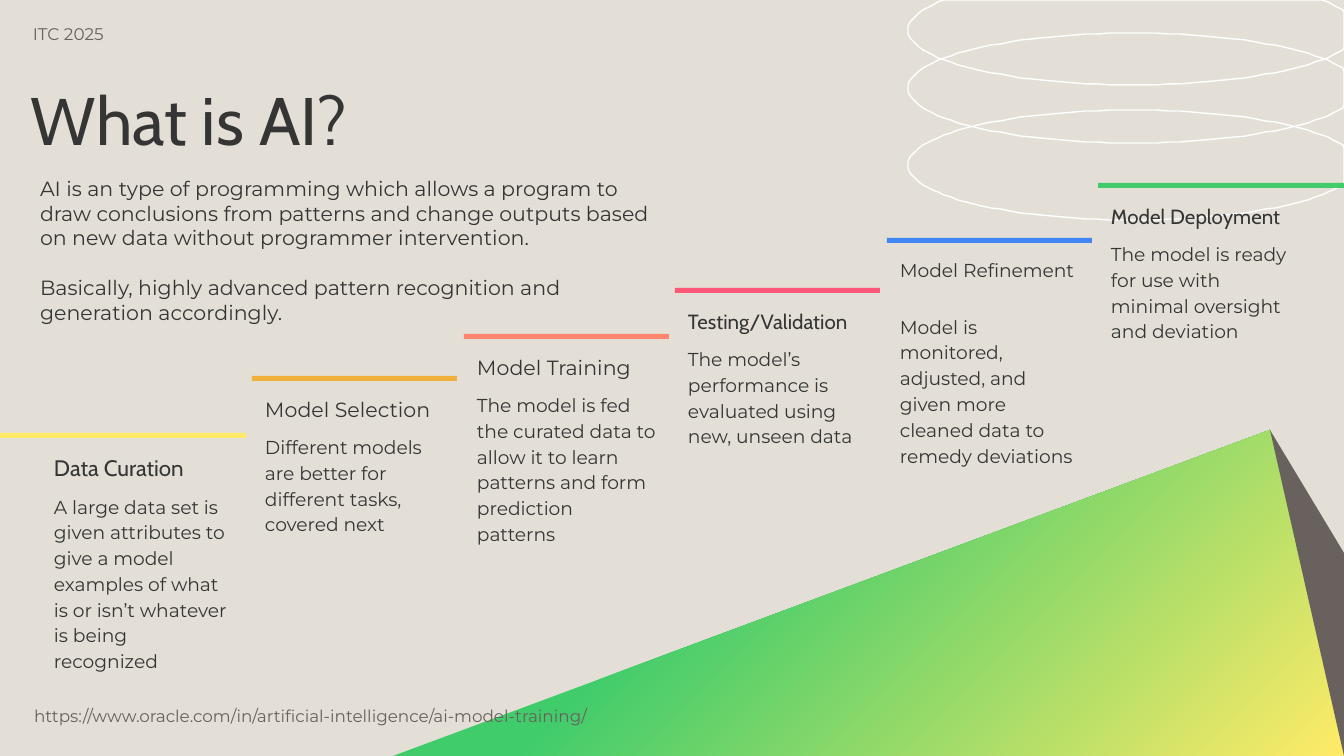
import math

from pptx import Presentation
from pptx.dml.color import RGBColor
from pptx.enum.text import MSO_ANCHOR
from pptx.util import Emu, Pt

SLIDE_W, SLIDE_H = 1344, 756
EMU_PER_PX = 9144000 / SLIDE_W
TOP, MIDDLE = MSO_ANCHOR.TOP, MSO_ANCHOR.MIDDLE
RECTANGLE = 1

BACKGROUND = RGBColor(0xE3, 0xDF, 0xD6)
INK = RGBColor(0x35, 0x35, 0x35)
TAUPE = RGBColor(0x69, 0x61, 0x5E)
WHITE = RGBColor(0xFF, 0xFF, 0xFF)
YELLOW = RGBColor(0xFF, 0xEB, 0x67)
AMBER = RGBColor(0xF0, 0xB0, 0x3B)
CORAL = RGBColor(0xFF, 0x86, 0x6D)
PINK = RGBColor(0xFF, 0x57, 0x77)
BLUE = RGBColor(0x42, 0x85, 0xF4)
GREEN = RGBColor(0x41, 0xCC, 0x6B)

CABIN, MONTSERRAT = "Cabin", "Montserrat"
INSET = 13
FIRST_STEP_LEFT, STEP_PITCH, STEP_WIDTH = 41, 211.4, 205
BAR_HEIGHT, STEP_TEXT_HEIGHT = 5, 175

STEPS = [
    ("Data Curation", CABIN, 12, 6, 433, YELLOW,
     "A large data set is given attributes to give a model examples of what "
     "is or isn’t whatever is being recognized"),
    ("Model Selection", MONTSERRAT, 11, 6, 376, AMBER,
     "Different models are better for different tasks, covered next"),
    ("Model Training", MONTSERRAT, 11, 6, 334, CORAL,
     "The model is fed the curated data to allow it to learn patterns and "
     "form prediction patterns"),
    ("Testing/Validation", CABIN, 11, 6, 288, PINK,
     "The model’s performance is evaluated using new, unseen data"),
    ("Model Refinement", MONTSERRAT, 10, 16.8, 238, BLUE,
     "Model is monitored, adjusted, and given more cleaned data to remedy "
     "deviations"),
    ("Model Deployment", CABIN, 11, 6, 183, GREEN,
     "The model is ready for use with minimal oversight and deviation"),
]


def px(length):
    """Turn a length in px into EMU."""
    return Emu(round(length * EMU_PER_PX))


def add_text_frame(slide, left, top, width, height, inset=INSET, inset_left=INSET, anchor=TOP):
    """Add a wrapping text box and return its text frame."""
    frame = slide.shapes.add_textbox(px(left), px(top), px(width), px(height)).text_frame
    frame.word_wrap = True
    frame.vertical_anchor = anchor
    frame.margin_left = px(inset_left)
    frame.margin_top = frame.margin_right = frame.margin_bottom = px(inset)
    return frame


def write(frame, text, size, font=MONTSERRAT, color=INK, spacing=1.0, before=0):
    """Write one formatted paragraph into a text frame."""
    first = frame.paragraphs[0]
    paragraph = frame.add_paragraph() if first.runs else first
    paragraph.line_spacing = spacing
    paragraph.space_before = Pt(before)
    run = paragraph.add_run()
    run.text = text
    run.font.size = Pt(size)
    run.font.name = font
    run.font.color.rgb = color


def add_outline(slide, points):
    """Add a closed freeform through the given px points."""
    builder = slide.shapes.build_freeform(*points[0], scale=EMU_PER_PX)
    builder.add_line_segments(points[1:], close=True)
    outline = builder.convert_to_shape()
    outline.shadow.inherit = False
    return outline


def add_ring(slide, center_y):
    """Add a white elliptical ring cut off at the slide edges."""
    center_x, radius_x, radius_y = 1133, 225, 55
    angles = [math.radians(degrees) for degrees in range(0, 360, 3)]
    points = [
        (min(SLIDE_W, center_x + radius_x * math.cos(angle)),
         max(0, center_y + radius_y * math.sin(angle)))
        for angle in angles
    ]
    ring = add_outline(slide, points)
    ring.fill.background()
    ring.line.color.rgb = WHITE
    ring.line.width = Pt(0.75)


def add_pyramid(slide):
    """Add the gradient face and the dark side of the pyramid."""
    apex, corner = (1270, 430), (SLIDE_W, SLIDE_H)
    face = add_outline(slide, [apex, corner, (393, SLIDE_H)])
    face.line.fill.background()
    face.fill.gradient()
    face.fill.gradient_angle = 315
    for stop, color, position in zip(face.fill.gradient_stops, (GREEN, YELLOW), (0.35, 1)):
        stop.color.rgb = color
        stop.position = position
    side = add_outline(slide, [apex, corner, (SLIDE_W, 553)])
    side.line.fill.background()
    side.fill.solid()
    side.fill.fore_color.rgb = TAUPE


def add_bar(slide, left, right, top, color):
    """Add the coloured bar above a step."""
    bar = slide.shapes.add_shape(RECTANGLE, px(left), px(top), px(right - left), px(BAR_HEIGHT))
    bar.shadow.inherit = False
    bar.fill.solid()
    bar.fill.fore_color.rgb = color
    bar.line.fill.background()


def add_steps(slide):
    """Add the rising row of model-building steps."""
    last = len(STEPS) - 1
    for index, (heading, font, size, gap, top, color, detail) in enumerate(STEPS):
        left = round(FIRST_STEP_LEFT + index * STEP_PITCH)
        right = left + STEP_WIDTH
        add_bar(slide, left if index else 0, SLIDE_W if index == last else right, top, color)
        frame = add_text_frame(slide, left, top + 4, STEP_WIDTH, STEP_TEXT_HEIGHT)
        write(frame, heading, size, font=font, spacing=1.15)
        write(frame, detail, 10, spacing=1.15, before=gap)


def main():
    """Build and save the slide."""
    deck = Presentation()
    deck.slide_width, deck.slide_height = px(SLIDE_W), px(SLIDE_H)
    slide = deck.slides.add_slide(deck.slide_layouts[6])
    slide.background.fill.solid()
    slide.background.fill.fore_color.rgb = BACKGROUND

    for center_y in (30, 88, 165):
        add_ring(slide, center_y)
    add_pyramid(slide)

    source = add_text_frame(slide, 34, 702, 1292, 28, inset=0, inset_left=0, anchor=MIDDLE)
    write(source, "https://www.oracle.com/in/artificial-intelligence/ai-model-training/",
          9, color=TAUPE)
    event = add_text_frame(slide, 6, 13, 232, 28, inset_left=27)
    write(event, "ITC 2025", 9, color=TAUPE)
    title = add_text_frame(slide, 18, 74, 794, 101)
    write(title, "What is AI?", 36, font=CABIN, spacing=0.9)

    add_steps(slide)

    intro = add_text_frame(slide, 27, 163, 638, 79)
    write(intro, "AI is an type of programming which allows a program to draw conclusions "
          "from patterns and change outputs based on new data without programmer "
          "intervention.", 11)
    write(intro, "Basically, highly advanced pattern recognition and generation accordingly.",
          11, before=13.4)

    deck.save("out.pptx")


if __name__ == "__main__":
    main()
